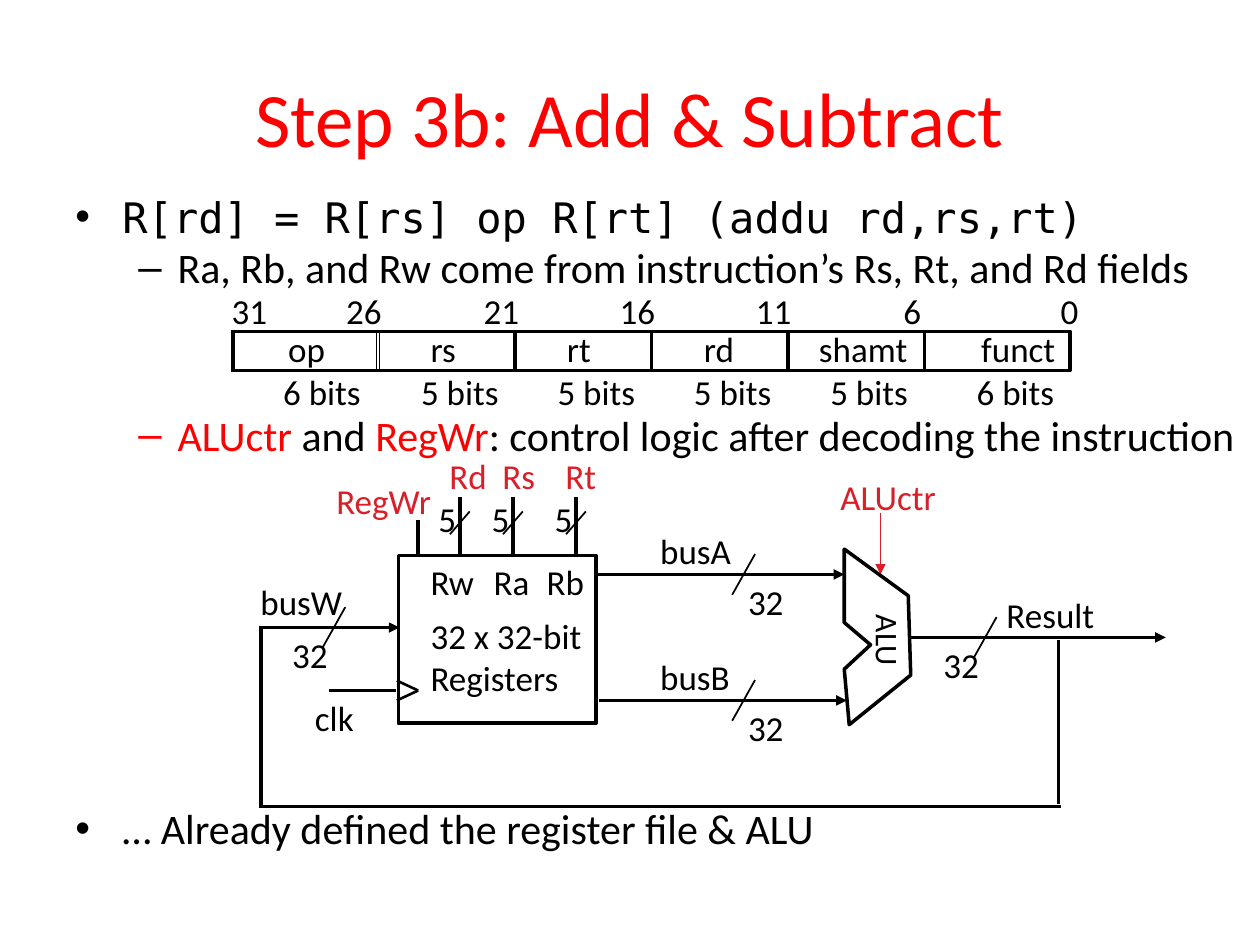
from lxml.etree import SubElement
from pptx import Presentation
from pptx.dml.color import RGBColor
from pptx.enum.shapes import MSO_CONNECTOR as Connector, MSO_SHAPE as Shape
from pptx.enum.text import MSO_ANCHOR as Anchor, MSO_AUTO_SIZE as AutoSize, PP_ALIGN as Align
from pptx.oxml.ns import qn
from pptx.util import Cm, Pt

COLORS = {"black": "000000", "red": "FF0000", "control": "DA1F28"}

presentation = Presentation()
presentation.slide_width = Cm(25.4)
presentation.slide_height = Cm(19.05)
slide = presentation.slides.add_slide(presentation.slide_layouts[6])


def add_label(text, left, top, width, color="black", size=20, height=1.1):
    box = slide.shapes.add_textbox(Cm(left), Cm(top), Cm(width), Cm(height))
    frame = box.text_frame
    frame.text = text
    frame.word_wrap = False
    frame.auto_size = AutoSize.SHAPE_TO_FIT_TEXT
    for paragraph in frame.paragraphs:
        paragraph.font.name = "Calibri"
        paragraph.font.size = Pt(size)
        paragraph.font.color.rgb = RGBColor.from_string(COLORS[color])
    return box


def add_line(x1, y1, x2, y2, width=2, color="black", arrow=False):
    line = slide.shapes.add_connector(Connector.STRAIGHT, Cm(x1), Cm(y1), Cm(x2), Cm(y2))
    line.line.width = Pt(width)
    line.line.color.rgb = RGBColor.from_string(COLORS[color])
    if arrow:
        SubElement(line.line._get_or_add_ln(), qn("a:tailEnd"), type="triangle")
    SubElement(line._element.spPr, qn("a:effectLst"))


title = add_label("Step 3b: Add & Subtract", 1.27, 0.76, 22.86, "red", 44, 3.18)
title.text_frame.auto_size = AutoSize.NONE
title.text_frame.word_wrap = True
title.text_frame.vertical_anchor = Anchor.MIDDLE
title.text_frame.paragraphs[0].alignment = Align.CENTER

body = slide.shapes.add_textbox(Cm(1.27), Cm(3.73), Cm(24.13), Cm(12.57)).text_frame
body.word_wrap = True
bullets = [
    ("•", 0.95, 0.95, 0, "DejaVu Sans Mono", [("R[rd] = R[rs] op R[rt] (addu rd,rs,rt)", "black")]),
    ("–", 2.06, 0.79, 0, "Calibri",
     [("Ra, Rb, and Rw come from instruction’s Rs, Rt, and Rd fields", "black")]),
    ("–", 2.06, 0.79, 67, "Calibri",
     [("ALUctr", "red"), (" and ", "black"), ("RegWr", "red"),
      (": control logic after decoding the instruction", "black")]),
    ("•", 0.95, 0.95, 196, "Calibri", [("… Already defined the register file & ALU", "black")]),
]
for index, (mark, margin, hanging, space, font, runs) in enumerate(bullets):
    paragraph = body.add_paragraph() if index else body.paragraphs[0]
    properties = paragraph._p.get_or_add_pPr()
    properties.set("marL", str(Cm(margin)))
    properties.set("indent", str(-Cm(hanging)))
    SubElement(properties, qn("a:buFont"), typeface="Arial")
    SubElement(properties, qn("a:buChar"), char=mark)
    paragraph.font.name = font
    paragraph.font.size = Pt(24)
    if space:
        paragraph.space_before = Pt(space)
    for text, color in runs:
        run = paragraph.add_run()
        run.text = text
        run.font.color.rgb = RGBColor.from_string(COLORS[color])

fields = [
    ("op", 5.56, 1.27, 6), ("rs", 8.43, 1.04, 5), ("rt", 11.18, 1.02, 5),
    ("rd", 13.94, 1.14, 5), ("shamt", 16.26, 2.34, 5), ("funct", 19.53, 2.08, 6),
]
boxes = [(4.7, 6.68, 16.87, 0.79, 2), (8.03, 11.2, 3.99, 3.38, 2)]
for index, (name, name_left, name_width, bits) in enumerate(fields):
    cell_left = 4.9 + 2.75 * index if index else 4.67
    cell_width = 2.92 if bits == 6 else 2.72
    boxes.append((cell_left, 6.68, cell_width, 0.81, 1))
    add_label(name, name_left, 6.48, name_width)
    add_label(f"{bits} bits", cell_left + cell_width - 2.13, 7.34, 2.11)

for left, top, width, height, weight in boxes:
    box = slide.shapes.add_shape(Shape.RECTANGLE, Cm(left), Cm(top), Cm(width), Cm(height))
    box.shadow.inherit = False
    box.fill.background()
    box.line.width = Pt(weight)
    box.line.color.rgb = RGBColor.from_string(COLORS["black"])

bit_numbers = [("31", 4.42), ("26", 6.73), ("21", 9.5), ("16", 12.24),
               ("11", 14.99), ("6", 17.96), ("0", 21.13)]
for number, left in bit_numbers:
    add_label(number, left, 5.72, 1.22 if len(number) == 2 else 0.86)

ports = [("Rd", 9.27, 1.27, "Rw", 8.43, 1.42), ("Rs", 10.34, 1.17, "Ra", 9.7, 1.27),
         ("Rt", 11.61, 1.17, "Rb", 10.77, 1.3)]
for register, x, width, port, port_left, port_width in ports:
    add_line(x, 10.01, x, 11.2)
    add_line(x - 0.2, 10.77, x + 0.2, 10.31, 1)
    add_label("5", x - 0.68, 9.91, 0.86)
    add_label(register, x - 0.46, 9.04, width, "control")
    add_label(port, port_left, 11.18, port_width)

buses = [
    ("busW", 5, 11.58, 2.18, 5.23, 8.05, 12.65, 6.73, 5.64),
    ("busA", 13.06, 10.54, 1.98, 12.01, 17.02, 11.58, 14.99, 14.83),
    ("busB", 13.06, 13.08, 1.96, 12.07, 17.07, 14.12, 14.99, 14.83),
    ("Result", 20.04, 11.84, 2.36, 18.34, 23.5, 12.85, 19.86, 18.77),
]
for name, left, top, width, start, end, y, slash, size_left in buses:
    add_line(start, y, end, y, arrow=True)
    add_line(slash + 0.23, y - 0.41, slash - 0.23, y + 0.41, 1)
    add_label("32", size_left, y, 1.22)
    add_label(name, left, top, width)

add_label("RegWr", 6.53, 9.55, 2.46, "control")
add_label("ALUctr", 16.69, 9.47, 2.74, "control")
add_label("clk", 6.1, 13.92, 1.32)
add_label("32 x 32-bit\nRegisters", 8.43, 12.27, 3.58, height=1.96)
add_label("ALU", 17.12, 12.42, 1.57, size=18, height=1.02).rotation = 90

add_line(17.75, 10.34, 17.75, 11.58, 1, "control", True)
add_line(8.43, 11.2, 8.43, 10.49)
add_line(6.63, 13.92, 7.98, 13.92)
add_line(21.34, 12.9, 21.34, 16.21)
add_line(21.39, 16.26, 5.23, 16.26)
add_line(5.26, 16.28, 5.26, 12.62)
add_line(8, 13.72, 8.43, 13.92, 1.5)
add_line(8.43, 13.92, 8, 14.12, 1.5)

alu_points = [(17.02, 12.24), (17.02, 11.07), (18.31, 12.01), (18.36, 13.61),
              (17.12, 14.61), (17.02, 13.49), (17.55, 13), (17.02, 12.55)]
corners = [(Cm(x), Cm(y)) for x, y in alu_points]
builder = slide.shapes.build_freeform(*corners[0])
builder.add_line_segments(corners[1:], close=True)
alu = builder.convert_to_shape()
alu.shadow.inherit = False
alu.fill.background()
alu.line.width = Pt(2)
alu.line.color.rgb = RGBColor.from_string(COLORS["black"])

presentation.save("out.pptx")
